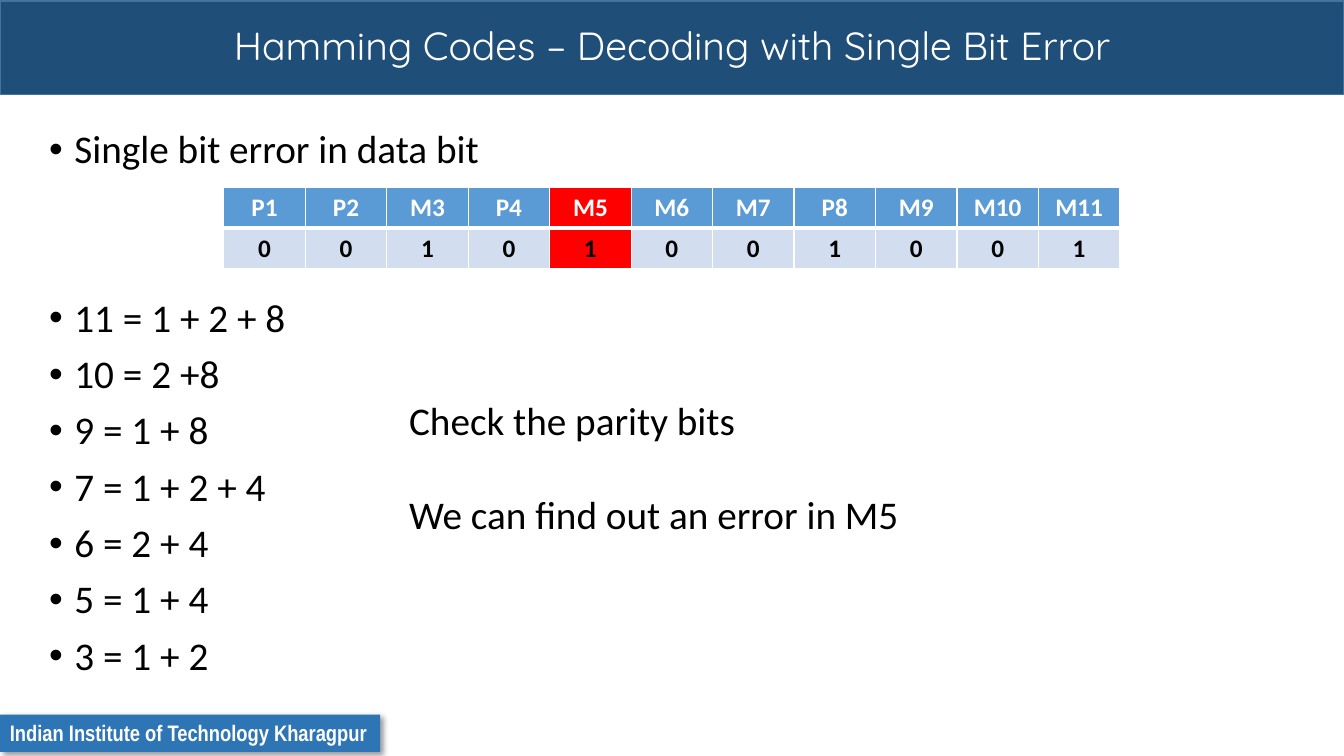
from dataclasses import dataclass

from lxml.etree import SubElement
from pptx import Presentation
from pptx.dml.color import RGBColor
from pptx.enum.shapes import MSO_SHAPE
from pptx.enum.text import MSO_ANCHOR, PP_ALIGN
from pptx.oxml import parse_xml
from pptx.oxml.ns import nsdecls, qn
from pptx.util import Inches, Pt

WHITE, BLACK, RED = "FFFFFF", "000000", "FF0000"
HEADER_BLUE, CELL_BLUE = "5B9BD5", "D2DEEF"
BODY_FONT = "Calibri"


@dataclass
class Box:
    left: float
    top: float
    width: float
    height: float

    def lengths(self) -> tuple:
        return tuple(Inches(n) for n in (self.left, self.top, self.width, self.height))


@dataclass
class Style:
    size: float = 28
    font: str = BODY_FONT
    color: str = BLACK
    bold: bool = False


@dataclass
class Line:
    text: str
    space_before: float = 0


@dataclass
class Bit:
    name: str
    value: str
    error: bool = False


TITLE_BOX = Box(0, 0.01, 13.33, 0.93)
BITS = [
    Bit("P1", "0"), Bit("P2", "0"), Bit("M3", "1"), Bit("P4", "0"),
    Bit("M5", "1", error=True), Bit("M6", "0"), Bit("M7", "0"),
    Bit("P8", "1"), Bit("M9", "0"), Bit("M10", "0"), Bit("M11", "1"),
]
SUMS = ["10 = 2 +8", "9 = 1 + 8", "7 = 1 + 2 + 4", "6 = 2 + 4", "5 = 1 + 4", "3 = 1 + 2"]
BULLETS = [Line("Single bit error in data bit"), Line("11 = 1 + 2 + 8", 90)]
BULLETS += [Line(text, 10) for text in SUMS]
REMARKS = [Line("Check the parity bits"), Line("We can find out an error in M5", 34)]


def rgb(color: str) -> RGBColor:
    return RGBColor.from_string(color)


def paint(target, color: str) -> None:
    target.fill.solid()
    target.fill.fore_color.rgb = rgb(color)


def write(paragraph, text: str, style: Style) -> None:
    run = paragraph.add_run()
    run.text = text
    run.font.size = Pt(style.size)
    run.font.name = style.font
    run.font.bold = style.bold
    run.font.color.rgb = rgb(style.color)


def add_bar(slide, box: Box, color: str):
    bar = slide.shapes.add_shape(MSO_SHAPE.RECTANGLE, *box.lengths())
    bar.shadow.inherit = False
    paint(bar, color)
    bar.line.fill.background()
    return bar


def add_lines(slide, box: Box, lines: list[Line], bulleted: bool = False) -> None:
    frame = slide.shapes.add_textbox(*box.lengths()).text_frame
    frame.word_wrap = True
    for index, line in enumerate(lines):
        paragraph = frame.add_paragraph() if index else frame.paragraphs[0]
        if bulleted:
            properties = paragraph._p.get_or_add_pPr()
            properties.set("marL", str(Inches(0.25)))
            properties.set("indent", str(Inches(-0.25)))
            SubElement(properties, qn("a:buFont"), typeface="Arial")
            SubElement(properties, qn("a:buChar"), char="•")
            paragraph.line_spacing = 0.9
        paragraph.space_before = Pt(line.space_before)
        write(paragraph, line.text, Style())


def add_title(slide) -> None:
    band = add_bar(slide, TITLE_BOX, "1F4E79")
    band.line.color.rgb = rgb("43739E")
    band.line.width = Pt(1)
    title = slide.shapes.title
    title.left, title.top, title.width, title.height = TITLE_BOX.lengths()
    title.text_frame.vertical_anchor = MSO_ANCHOR.MIDDLE
    paragraph = title.text_frame.paragraphs[0]
    paragraph.alignment = PP_ALIGN.CENTER
    paragraph.line_spacing = 0.9
    write(paragraph, "Hamming Codes – Decoding with Single Bit Error", Style(font="Quicksand", color=WHITE))
    slide.shapes.element.append(title.element)


def add_footer(slide) -> None:
    footer = add_bar(slide, Box(0, 7.09, 3.77, 0.37), "2E75B6")
    effects = footer.element.spPr.find(qn("a:effectLst"))
    effects.append(parse_xml(
        f'<a:outerShdw {nsdecls("a")} blurRad="{Pt(4)}" dist="{Pt(3)}" dir="2700000" algn="tl">'
        f'<a:srgbClr val="{BLACK}"><a:alpha val="40000"/></a:srgbClr></a:outerShdw>'
    ))
    frame = footer.text_frame
    frame.word_wrap = False
    frame.vertical_anchor = MSO_ANCHOR.TOP
    frame.paragraphs[0].alignment = PP_ALIGN.LEFT
    write(frame.paragraphs[0], "Indian Institute of Technology Kharagpur",
          Style(16, "Arial Narrow", WHITE, True))


def set_borders(cell, top: float, bottom: float) -> None:
    properties = cell._tc.get_or_add_tcPr()
    widths = {"lnL": 1, "lnR": 1, "lnT": top, "lnB": bottom}
    for position, (side, width) in enumerate(widths.items()):
        properties.insert(position, parse_xml(
            f'<a:{side} {nsdecls("a")} w="{Pt(width)}"><a:solidFill>'
            f'<a:srgbClr val="{WHITE}"/></a:solidFill></a:{side}>'
        ))


def fill_cell(cell, text: str, fill: str, color: str) -> None:
    paint(cell, fill)
    paragraph = cell.text_frame.paragraphs[0]
    paragraph.alignment = PP_ALIGN.CENTER
    write(paragraph, text, Style(18, color=color, bold=True))


def add_bit_table(slide, box: Box) -> None:
    table = slide.shapes.add_table(2, len(BITS), *box.lengths()).table
    for column, bit in enumerate(BITS):
        header, value = table.cell(0, column), table.cell(1, column)
        fill_cell(header, bit.name, RED if bit.error else HEADER_BLUE, WHITE)
        fill_cell(value, bit.value, RED if bit.error else CELL_BLUE, BLACK)
        set_borders(header, top=1, bottom=3)
        set_borders(value, top=3, bottom=1)


def main() -> None:
    presentation = Presentation()
    presentation.slide_width = Inches(13.33)
    presentation.slide_height = Inches(7.5)
    slide = presentation.slides.add_slide(presentation.slide_layouts.get_by_name("Title Only"))
    add_title(slide)
    add_footer(slide)
    add_lines(slide, Box(0.39, 1.24, 12.63, 5.85), BULLETS, bulleted=True)
    add_bit_table(slide, Box(2.22, 1.86, 8.89, 0.81))
    add_lines(slide, Box(3.96, 3.88, 7.84, 1.51), REMARKS)
    presentation.save("out.pptx")


if __name__ == "__main__":
    main()
